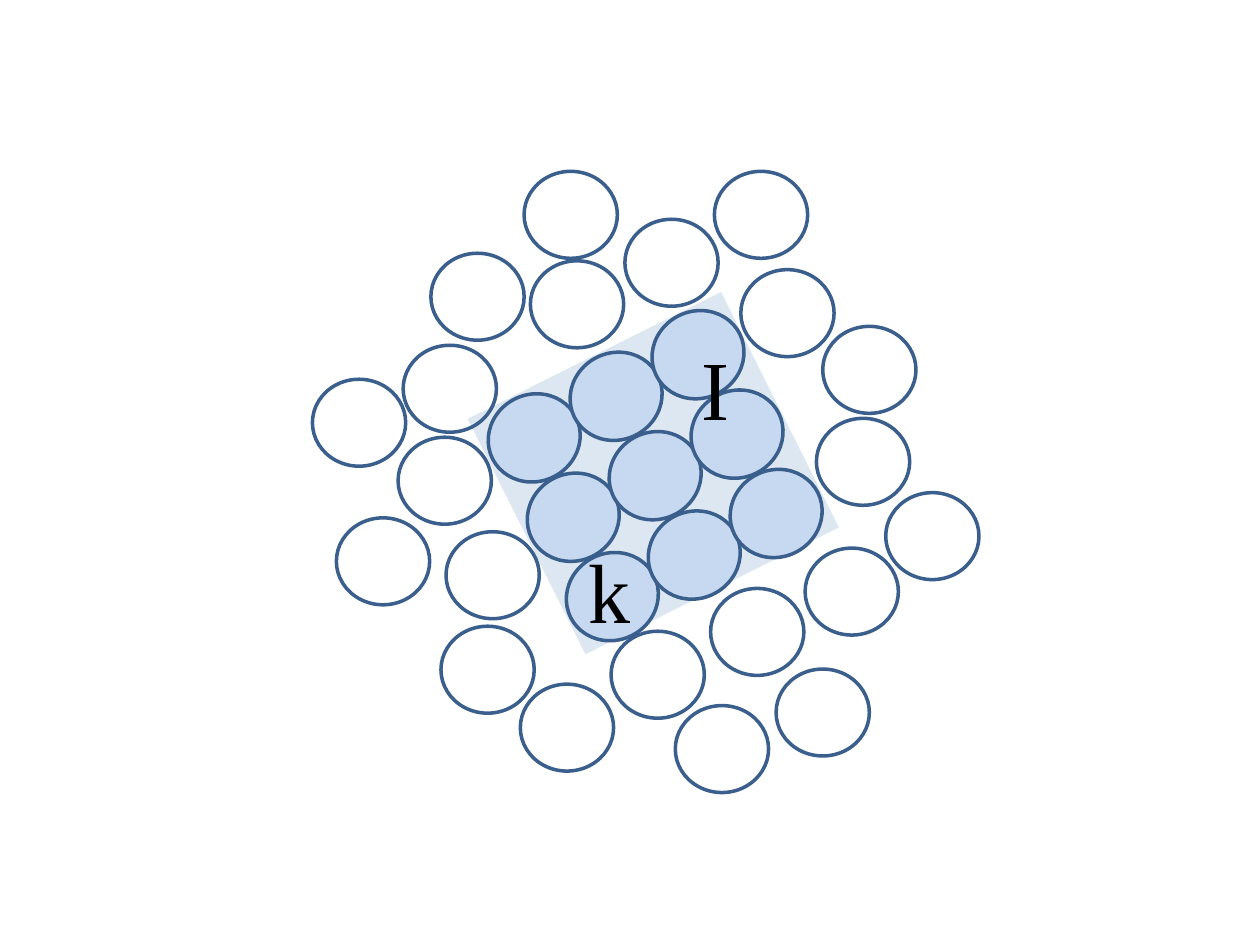
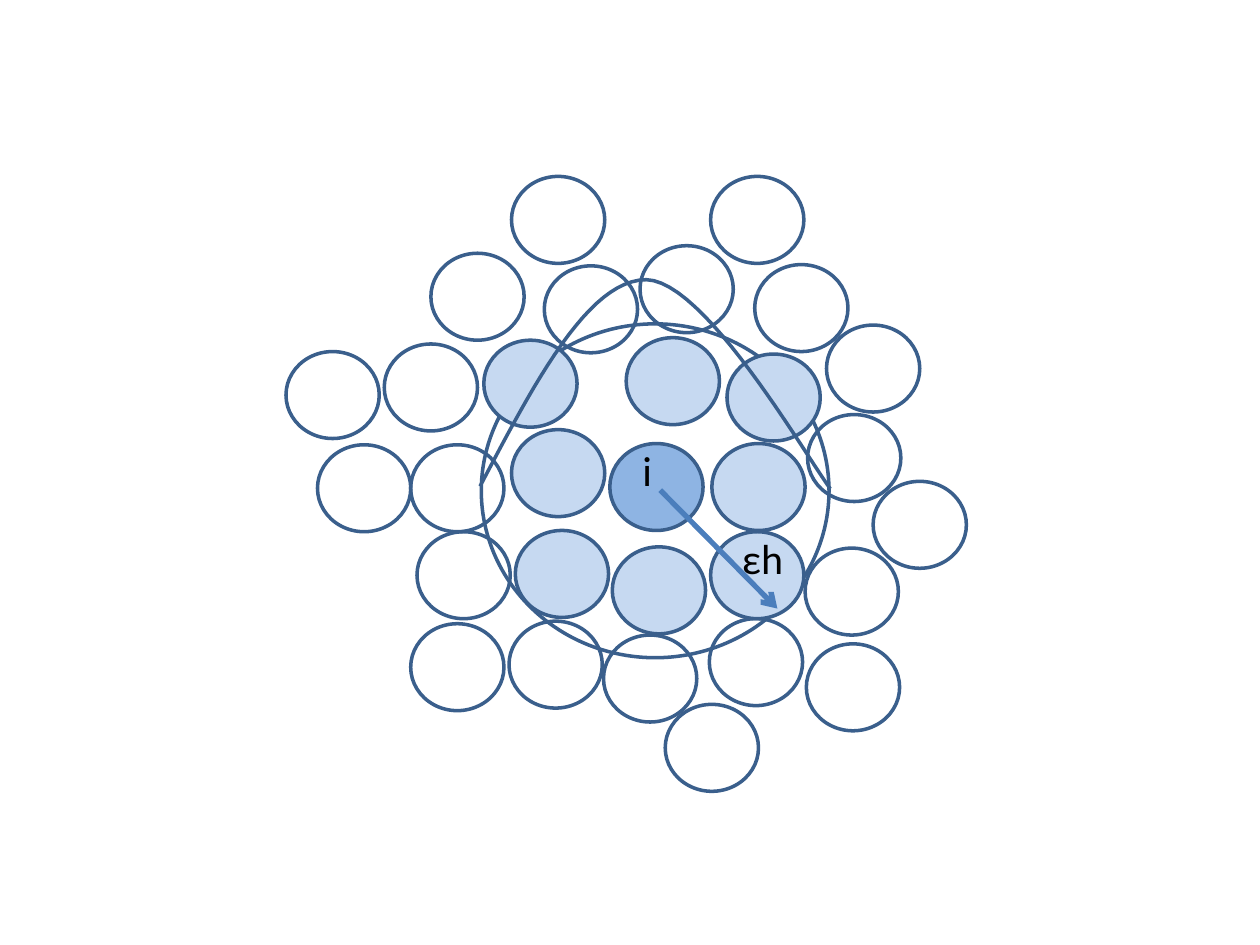
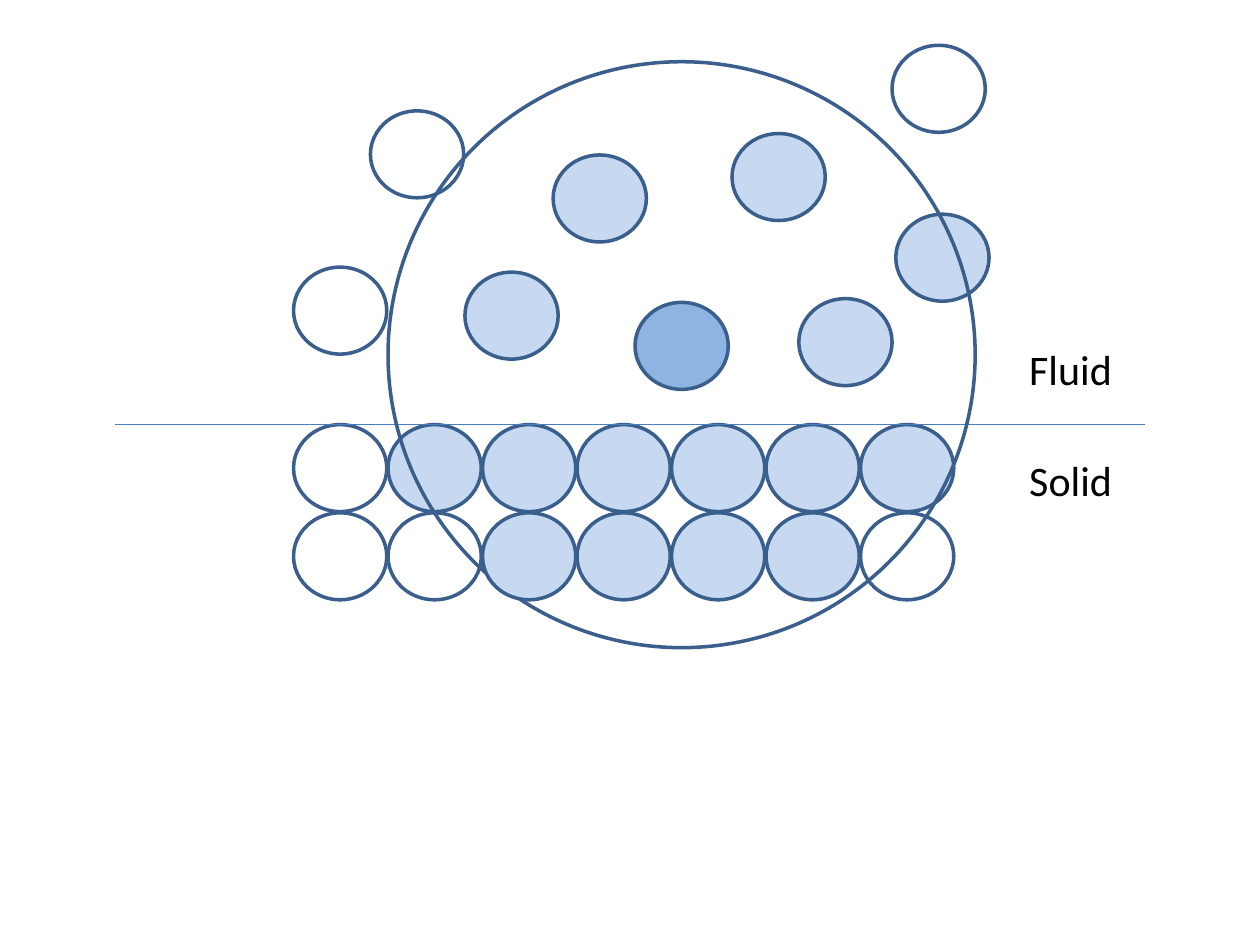
from dataclasses import dataclass

from lxml.etree import SubElement
from pptx import Presentation
from pptx.dml.color import RGBColor as Rgb
from pptx.enum.shapes import MSO_CONNECTOR as Connector, MSO_SHAPE as Preset
from pptx.enum.text import MSO_AUTO_SIZE as AutoSize
from pptx.oxml.ns import qn
from pptx.util import Cm, Pt


@dataclass(frozen=True)
class Theme:
    """Colours, fonts and sizes shared by all pages (lengths in inches)."""
    outline: Rgb = Rgb.from_string("3A5F8C")
    accent: Rgb = Rgb.from_string("4B7EBC")
    square: Rgb = Rgb.from_string("4F81BD")
    near: Rgb = Rgb.from_string("C6D9F1")
    centre: Rgb = Rgb.from_string("8EB4E3")
    ink: Rgb = Rgb.from_string("000000")
    sans: str = "Calibri"
    serif: str = "Times New Roman"
    label: int = 24
    big_label: int = 48
    outline_width: float = 2
    arrow_width: float = 3
    thin_width: float = 0.75
    particle: tuple = (0.74, 0.69)
    tilt: float = 333.4


def length(inches):
    """Turn inches on the page into a Cm length."""
    return Cm(inches * 2.54)


def lengths(*values):
    """Turn several inch values into lengths."""
    return [length(value) for value in values]


def grid(origin, column_step, row_step, columns, rows):
    """Return the points of a regular, possibly slanted grid, row by row."""
    return [tuple(start + column * across + row * down
                  for start, across, down in zip(origin, column_step, row_step))
            for row in range(rows) for column in range(columns)]


def bezier(start, first, second, end, steps=24):
    """Return points along a cubic curve, without its start."""
    points = []
    for step in range(1, steps + 1):
        t = step / steps
        weights = ((1 - t) ** 3, 3 * t * (1 - t) ** 2, 3 * t * t * (1 - t), t ** 3)
        points.append(tuple(sum(weight * point[axis] for weight, point
                                in zip(weights, (start, first, second, end)))
                            for axis in (0, 1)))
    return points


class Painter:
    """Hold the style and the current page, and draw elements on it."""

    def __init__(self, deck, theme):
        self.deck = deck
        self.theme = theme
        self.page = None

    def new_page(self):
        """Start a page without placeholders."""
        self.page = self.deck.slides.add_slide(self.deck.slide_layouts[6])

    def finish(self, shape, fill=None, outlined=True):
        """Give a shape its fill and outline and no shadow."""
        shape.shadow.inherit = False
        if fill is None:
            shape.fill.background()
        else:
            shape.fill.solid()
            shape.fill.fore_color.rgb = fill
        if outlined:
            shape.line.color.rgb = self.theme.outline
            shape.line.width = Pt(self.theme.outline_width)
        else:
            shape.line.fill.background()

    def ellipse(self, left, top, width, height, fill=None, turn=0):
        """Draw an outlined ellipse."""
        shape = self.page.shapes.add_shape(
            Preset.OVAL, *lengths(left, top, width, height))
        shape.rotation = turn
        self.finish(shape, fill)

    def particles(self, corners, fill=None, turn=0):
        """Draw one particle at each top left corner."""
        for left, top in corners:
            self.ellipse(left, top, *self.theme.particle, fill, turn)

    def glass_square(self, left, top, width, height, opacity):
        """Draw a tilted, see-through rectangle."""
        shape = self.page.shapes.add_shape(
            Preset.RECTANGLE, *lengths(left, top, width, height))
        shape.rotation = self.theme.tilt
        self.finish(shape, self.theme.square, outlined=False)
        colour = shape.element.spPr.find(qn("a:solidFill"))[0]
        SubElement(colour, qn("a:alpha"), val=str(opacity * 1000))

    def line(self, start, end, width, arrow=False):
        """Draw a straight line, with an open arrowhead at its end if asked."""
        line = self.page.shapes.add_connector(
            Connector.STRAIGHT, *lengths(*start, *end))
        line.line.color.rgb = self.theme.accent
        line.line.width = Pt(width)
        properties = line.element.spPr
        if arrow:
            SubElement(properties.find(qn("a:ln")), qn("a:tailEnd"), type="arrow")
        SubElement(properties, qn("a:effectLst"))

    def curve(self, start, *segments):
        """Draw an open curve of cubic segments."""
        points = [start]
        for segment in segments:
            points += bezier(points[-1], *segment)
        corners = [lengths(*point) for point in points]
        builder = self.page.shapes.build_freeform(*corners[0])
        builder.add_line_segments(corners[1:], close=False)
        self.finish(builder.convert_to_shape())

    def label(self, text, left, top, width, height, font=None, size=None):
        """Write a short label."""
        box = self.page.shapes.add_textbox(*lengths(left, top, width, height))
        frame = box.text_frame
        frame.word_wrap = True
        frame.auto_size = AutoSize.SHAPE_TO_FIT_TEXT
        para = frame.paragraphs[0]
        span = para.add_run()
        span.text = text
        span.font.name = font or self.theme.sans
        span.font.size = Pt(size or self.theme.label)
        span.font.color.rgb = self.theme.ink


def tilted_block(painter):
    """Draw a tilted block of nine particles among free ones."""
    theme = painter.theme
    painter.new_page()
    painter.glass_square(4.06, 2.71, 2.25, 2.09, opacity=19)
    painter.particles([
        (4.16, 1.36), (5.67, 1.36), (6.16, 5.31), (6.53, 2.59), (3.42, 2.01),
        (4.21, 2.07), (4.96, 1.74), (5.88, 2.14), (2.48, 3.01), (3.2, 2.74),
        (6.48, 3.32), (2.67, 4.11), (3.16, 3.47), (7.03, 3.91), (3.54, 4.22),
        (6.39, 4.35), (3.5, 4.97), (4.85, 5.01), (4.13, 5.43), (5.64, 4.67),
        (5.36, 5.6)])
    block = grid((3.87, 3.13), (0.65, -0.33), (0.31, 0.63), columns=3, rows=3)
    painter.particles(block, theme.near, theme.tilt)
    for text, left, top in (("I", 5.47, 2.62), ("k", 4.57, 4.23)):
        painter.label(text, left, top, 0.98, 0.91, theme.serif, theme.big_label)


def support_radius(painter):
    """Draw a particle, its neighbours, its radius and its kernel curve."""
    theme = painter.theme
    painter.new_page()
    painter.ellipse(3.82, 2.57, 2.76, 2.65)
    painter.particles([
        (4.06, 1.4), (5.64, 1.4), (6.4, 5.11), (6.56, 2.58), (3.42, 2.01),
        (4.32, 2.11), (5.08, 1.95), (5.99, 2.1), (2.27, 2.79), (3.05, 2.73),
        (6.41, 3.29), (2.52, 3.53), (3.26, 3.53), (6.93, 3.82), (3.31, 4.22),
        (6.39, 4.35), (3.26, 4.95), (4.04, 4.93), (4.79, 5.04), (5.63, 4.91),
        (5.28, 5.59)])
    painter.particles([
        (3.84, 2.7), (4.97, 2.68), (5.77, 2.81), (4.06, 3.41), (5.65, 3.52),
        (4.09, 4.21), (4.86, 4.34), (5.64, 4.22)], theme.near)
    painter.particles([(4.84, 3.52)], theme.centre)
    painter.line((5.24, 3.89), (6.17, 4.83), theme.arrow_width, arrow=True)
    painter.label("i", 5, 3.48, 0.79, 0.5)
    painter.label("εh", 5.79, 4.18, 1.18, 0.5)
    painter.curve((3.81, 3.86),
                  ((4.24, 3.04), (4.67, 2.22), (5.13, 2.22)),
                  ((5.59, 2.23), (6.36, 3.56), (6.59, 3.88)))


def fluid_and_solid(painter):
    """Draw fluid particles above two rows of solid ones."""
    theme = painter.theme
    painter.new_page()
    wall = grid((2.33, 3.37), (0.75, 0), (0, 0.7), columns=7, rows=2)
    upper, lower = wall[:7], wall[7:]
    painter.particles([(2.94, 0.88), (2.33, 2.12), (7.08, 0.36), upper[0]])
    painter.particles([(3.69, 2.16), (4.39, 1.23), (7.11, 1.7), (5.81, 1.06),
                       (6.34, 2.37), *upper[1:]], theme.near)
    painter.particles([(5.04, 2.4)], theme.centre)
    painter.label("Fluid", 8.07, 2.68, 1.1, 0.5)
    painter.label("Solid", 8.07, 3.56, 1.18, 0.5)
    painter.line((0.91, 3.37), (9.09, 3.37), theme.thin_width)
    painter.ellipse(3.08, 0.49, 4.66, 4.65)
    painter.particles(lower[:2] + lower[6:])
    painter.particles(lower[2:6], theme.near)


def main():
    """Build the three pages and save the deck."""
    deck = Presentation()
    deck.slide_width, deck.slide_height = lengths(10, 7.5)
    painter = Painter(deck, Theme())
    for draw in (tilted_block, support_radius, fluid_and_solid):
        draw(painter)
    deck.save("out.pptx")


main()
